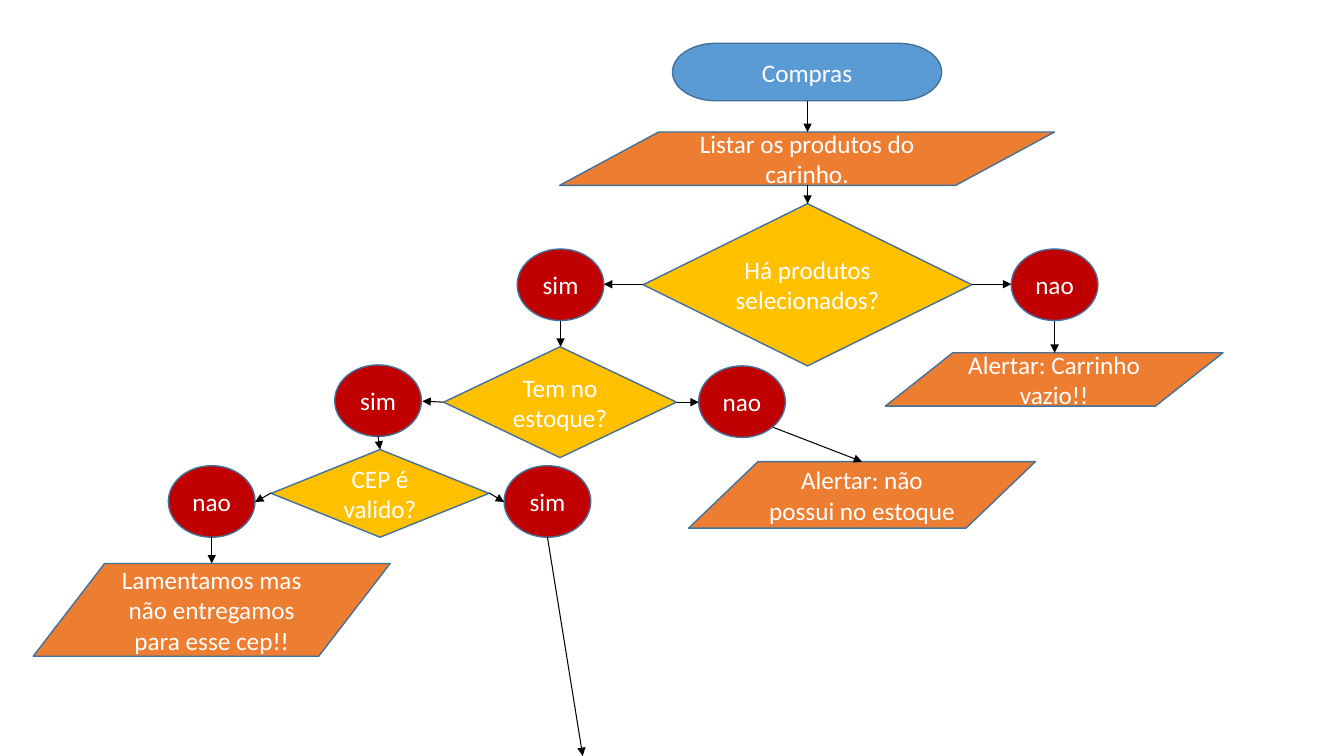
from dataclasses import dataclass

from pptx import Presentation
from pptx.dml.color import RGBColor
from pptx.enum.shapes import MSO_CONNECTOR, MSO_SHAPE
from pptx.enum.text import MSO_ANCHOR, PP_ALIGN
from pptx.oxml.ns import qn
from pptx.shapes.autoshape import Shape
from pptx.slide import Slide
from pptx.util import Pt
from lxml.etree import SubElement

PX = 9144
BLUE = RGBColor(0x5B, 0x9B, 0xD5)
ORANGE = RGBColor(0xED, 0x7D, 0x31)
GOLD = RGBColor(0xFF, 0xC0, 0x00)
RED = RGBColor(0xC0, 0x00, 0x00)
EDGE = RGBColor(0x42, 0x71, 0x9B)
WHITE = RGBColor(0xFF, 0xFF, 0xFF)
BLACK = RGBColor(0x00, 0x00, 0x00)


@dataclass(frozen=True)
class Style:
    form: MSO_SHAPE
    fill: RGBColor


@dataclass(frozen=True)
class Node:
    style: Style
    text: str
    left: int
    top: int
    width: int = 86
    height: int = 71


@dataclass(frozen=True)
class Arrow:
    x1: int
    y1: int
    x2: int
    y2: int


START = Style(MSO_SHAPE.FLOWCHART_TERMINATOR, BLUE)
DATA = Style(MSO_SHAPE.FLOWCHART_DATA, ORANGE)
TEST = Style(MSO_SHAPE.FLOWCHART_DECISION, GOLD)
REPLY = Style(MSO_SHAPE.FLOWCHART_CONNECTOR, RED)

NODES = [
    Node(START, "Compras", 667, 43, 267, 57),
    Node(DATA, "Listar os produtos do carinho.", 555, 131, 491, 53),
    Node(TEST, "Há produtos selecionados?", 638, 202, 326, 161),
    Node(REPLY, "sim", 513, 247),
    Node(REPLY, "nao", 1003, 247),
    Node(DATA, "Alertar: Carrinho vazio!!", 878, 350, 335, 53),
    Node(TEST, "Tem no estoque?", 440, 344, 231, 110),
    Node(REPLY, "nao", 693, 363),
    Node(REPLY, "sim", 332, 362),
    Node(DATA, "Alertar: não possui no estoque", 683, 458, 344, 66),
    Node(TEST, "CEP é valido?", 269, 446, 216, 87),
    Node(REPLY, "sim", 500, 462),
    Node(REPLY, "nao", 167, 462),
    Node(DATA, "Lamentamos mas não entregamos para esse cep!!", 33, 559, 354, 92),
]

ARROWS = [
    Arrow(801, 100, 801, 131),
    Arrow(801, 184, 801, 202),
    Arrow(638, 282, 599, 282),
    Arrow(964, 282, 1003, 282),
    Arrow(1046, 318, 1046, 350),
    Arrow(556, 318, 556, 344),
    Arrow(671, 399, 693, 399),
    Arrow(440, 399, 419, 398),
    Arrow(375, 433, 377, 446),
    Arrow(767, 424, 855, 458),
    Arrow(485, 489, 500, 498),
    Arrow(269, 489, 253, 498),
    Arrow(210, 533, 210, 559),
    Arrow(543, 533, 578, 750),
]


def write(shape: Shape, text: str, *, size: int = 18, color: RGBColor = WHITE,
          font: str = "Calibri") -> None:
    frame = shape.text_frame
    frame.word_wrap = True
    frame.vertical_anchor = MSO_ANCHOR.MIDDLE
    line = frame.paragraphs[0]
    line.alignment = PP_ALIGN.CENTER
    run = line.add_run()
    run.text = text
    run.font.name = font
    run.font.size = Pt(size)
    run.font.color.rgb = color


def draw_node(slide: Slide, node: Node) -> None:
    shape = slide.shapes.add_shape(
        node.style.form, node.left * PX, node.top * PX,
        node.width * PX, node.height * PX)
    shape.shadow.inherit = False
    shape.fill.solid()
    shape.fill.fore_color.rgb = node.style.fill
    shape.line.color.rgb = EDGE
    shape.line.width = Pt(1)
    write(shape, node.text)


def draw_arrow(slide: Slide, arrow: Arrow) -> None:
    link = slide.shapes.add_connector(
        MSO_CONNECTOR.STRAIGHT, arrow.x1 * PX, arrow.y1 * PX,
        arrow.x2 * PX, arrow.y2 * PX)
    link.line.color.rgb = BLACK
    link.line.width = Pt(0.75)
    props = link._element.spPr
    SubElement(props.find(qn("a:ln")), qn("a:tailEnd"), type="triangle")
    SubElement(props, qn("a:effectLst"))


def main() -> None:
    deck = Presentation()
    deck.slide_width = 1333 * PX
    deck.slide_height = 750 * PX
    slide = deck.slides.add_slide(deck.slide_layouts[6])
    for node in NODES:
        draw_node(slide, node)
    for arrow in ARROWS:
        draw_arrow(slide, arrow)
    deck.save("out.pptx")


if __name__ == "__main__":
    main()
